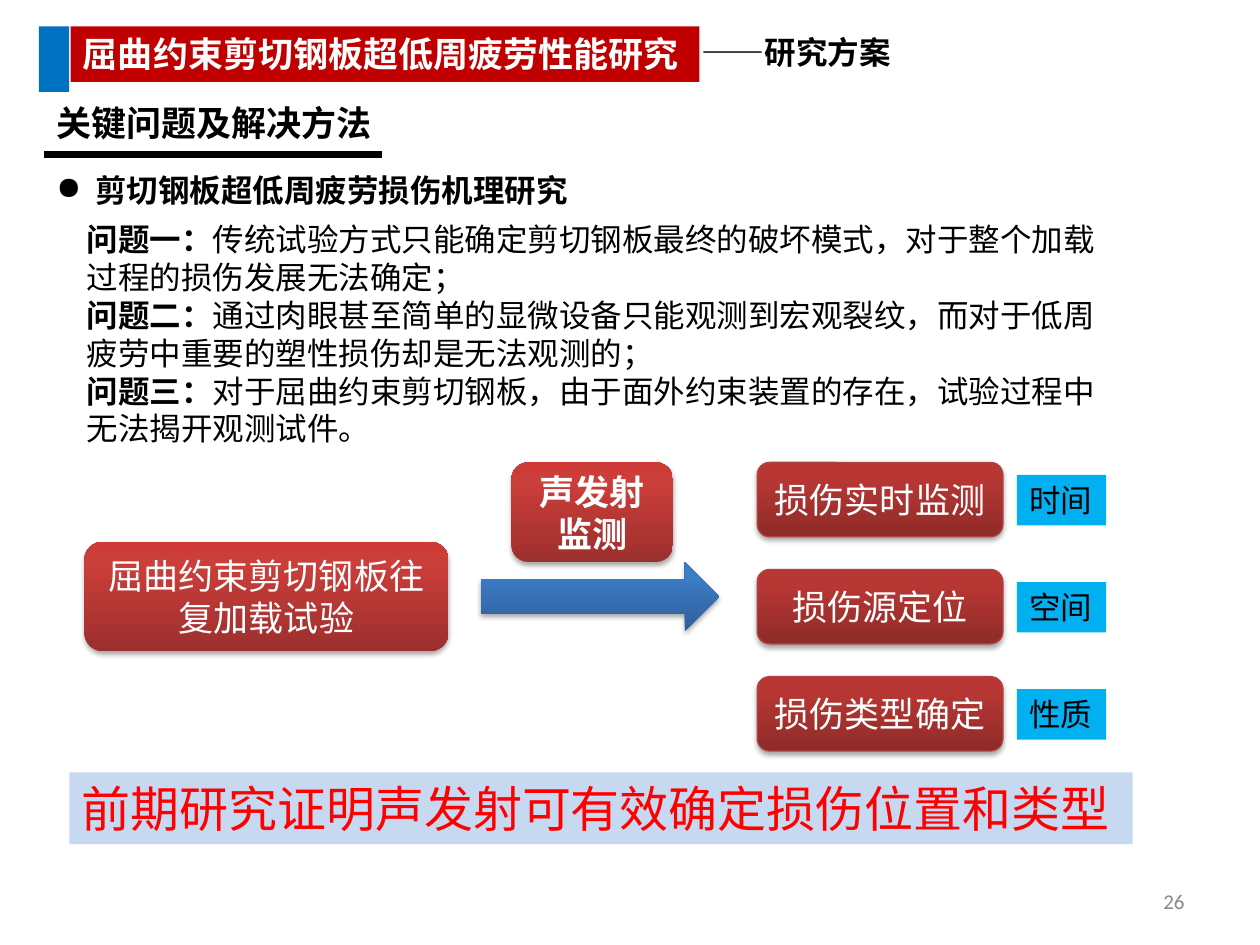
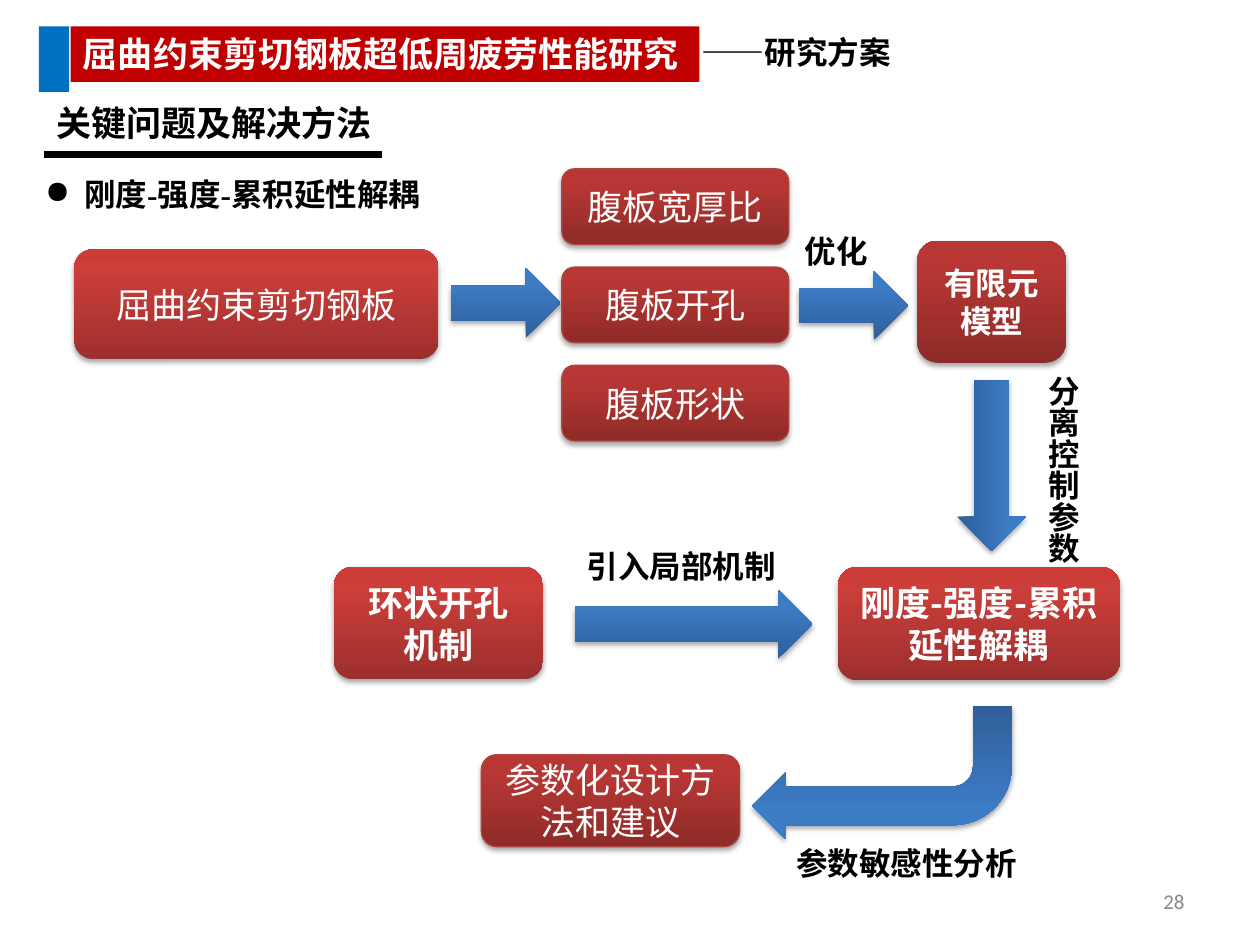
from dataclasses import dataclass

from pptx import Presentation
from pptx import util as u
from pptx.dml.color import RGBColor
from pptx.enum import shapes as kinds, text as txt
from pptx.oxml import parse_xml
from pptx.oxml.ns import nsdecls, qn


@dataclass(frozen=True)
class Theme:
    white: str = "FFFFFF"
    black: str = "000000"
    title_band: str = "C00000"
    title_tab: str = "0070C0"
    page_grey: str = "898989"
    tag: str = "00B0F0"
    conclusion_band: str = "C6D9F1"
    conclusion_text: str = "FF0000"
    box_edge: str = "AD4441"
    bright_red: tuple = ("9C2F2D", "CB3E3A", "CE3B37")
    deep_red: tuple = ("8E2B28", "B83734", "BB3531")
    arrow_blue: tuple = ("2F5F99", "3D7CC7", "3A7CCB")
    cjk: str = "Noto Sans CJK SC"
    serif: str = "Times New Roman"
    sans: str = "Arial"
    digits: str = "Calibri"
    large: int = 28
    heading: int = 20
    body: int = 18
    small: int = 12


T = Theme()
ALIGN = txt.PP_ALIGN
SHAPE = kinds.MSO_SHAPE


def inches(*lengths):
    return [u.Inches(length) for length in lengths]


def write(shape, content, size=T.body, font=T.cjk, color=T.black, bold=False,
          align=ALIGN.LEFT, anchor=txt.MSO_ANCHOR.TOP, wrap=True, bullet=None,
          vertical=False):
    """Fill a shape with a string, or with paragraphs of (text, bold) runs."""
    frame = shape.text_frame
    frame.word_wrap = wrap
    frame.vertical_anchor = anchor
    if vertical:
        frame._txBody.bodyPr.set("vert", "eaVert")
    paragraphs = [[(content, bold)]] if isinstance(content, str) else content
    for index, runs in enumerate(paragraphs):
        paragraph = frame.add_paragraph() if index else frame.paragraphs[0]
        paragraph.alignment = align
        if bullet:
            props = paragraph._p.get_or_add_pPr()
            props.set("marL", str(u.Inches(0.31)))
            props.set("indent", str(-u.Inches(0.31)))
            props.append(parse_xml(f'<a:buChar {nsdecls("a")} char="{bullet}"/>'))
        for words, is_bold in runs:
            run = paragraph.add_run()
            run.text = words
            run.font.size = u.Pt(size)
            run.font.bold = is_bold
            run.font.color.rgb = RGBColor.from_string(color)
            run.font.name = font
            run_props = run._r.get_or_add_rPr()
            run_props.set("lang", "zh-CN")
            run_props.find(qn("a:latin")).addnext(
                parse_xml(f'<a:ea {nsdecls("a")} typeface="{T.cjk}"/>'))


def label(slide, box, content, **fmt):
    write(slide.shapes.add_textbox(*inches(*box)), content, **fmt)


def panel(slide, box, fill, content=None, **fmt):
    shape = slide.shapes.add_shape(SHAPE.RECTANGLE, *inches(*box))
    shape.shadow.inherit = False
    shape.fill.solid()
    shape.fill.fore_color.rgb = RGBColor.from_string(fill)
    shape.line.fill.background()
    if content:
        write(shape, content, **fmt)


def glossy(slide, kind, box, colors, edge=False):
    """Add a shape with an upward gradient and a soft shadow below it."""
    shape = slide.shapes.add_shape(kind, *inches(*box))
    shape.fill.solid()
    solid = shape._element.spPr.find(qn("a:solidFill"))
    stops = "".join(f'<a:gs pos="{pos}000"><a:srgbClr val="{color}"/></a:gs>'
                    for pos, color in zip((0, 80, 100), colors))
    solid.getparent().replace(solid, parse_xml(
        f'<a:gradFill {nsdecls("a")} rotWithShape="1"><a:gsLst>{stops}</a:gsLst>'
        '<a:lin ang="16200000" scaled="0"/></a:gradFill>'))
    if edge:
        shape.line.color.rgb = RGBColor.from_string(T.box_edge)
        shape.line.width = u.Pt(0.75)
    else:
        shape.line.fill.background()
    shape.shadow.inherit = False
    shape._element.spPr.find(qn("a:effectLst")).append(parse_xml(
        f'<a:outerShdw {nsdecls("a")} blurRad="{u.Pt(3.1)}" dist="{u.Pt(1.8)}" '
        'dir="5400000" rotWithShape="0"><a:srgbClr val="000000">'
        '<a:alpha val="35000"/></a:srgbClr></a:outerShdw>'))
    return shape


def step(slide, box, words, colors=T.bright_red, edge=False, bold=False,
         size=T.heading):
    shape = glossy(slide, SHAPE.ROUNDED_RECTANGLE, box, colors, edge)
    write(shape, words, size=size, color=T.white, bold=bold,
          align=ALIGN.CENTER, anchor=txt.MSO_ANCHOR.MIDDLE)


def arrow(slide, box, turn=0):
    glossy(slide, SHAPE.RIGHT_ARROW, box, T.arrow_blue).rotation = turn


def header(slide, x, y):
    panel(slide, (x + 0.25, y, 4.99, 0.44), T.title_band,
          "屈曲约束剪切钢板超低周疲劳性能研究", size=T.heading,
          color=T.white, bold=True)
    panel(slide, (x, y, 0.24, 0.52), T.title_tab)
    label(slide, (x + 5.16, y, 1.76, 0.4), "——研究方案", bold=True, wrap=False)


def section_heading(slide, x, y):
    label(slide, (x, y, 3.86, 0.44), "关键问题及解决方法", size=T.heading,
          font=T.sans, bold=True)
    rule = slide.shapes.add_connector(
        kinds.MSO_CONNECTOR.STRAIGHT, *inches(x, y + 0.47, x + 2.68, y + 0.47))
    rule.line.color.rgb = RGBColor.from_string(T.black)
    rule.line.width = u.Pt(4)
    rule._element.spPr.append(parse_xml(f'<a:effectLst {nsdecls("a")}/>'))


def new_slide(deck, page):
    slide = deck.slides.add_slide(deck.slide_layouts[6])
    slide.background.fill.solid()
    slide.background.fill.fore_color.rgb = RGBColor.from_string(T.white)
    header(slide, 0.31, 0.21)
    label(slide, (7.17, 6.95, 2.33, 0.4), page, size=T.small, font=T.digits,
          color=T.page_grey, align=ALIGN.RIGHT, anchor=txt.MSO_ANCHOR.MIDDLE)
    section_heading(slide, 0.35, 0.76)
    return slide


def topic(slide, box, words):
    label(slide, box, words, font=T.serif, bold=True, align=ALIGN.JUSTIFY,
          bullet="●")


def problems(slide, box):
    questions = [
        ("问题一：", "传统试验方式只能确定剪切钢板最终的破坏模式，对于整个加载过程的损伤发展无法确定；"),
        ("问题二：", "通过肉眼甚至简单的显微设备只能观测到宏观裂纹，而对于低周疲劳中重要的塑性损伤却是无法观测的；"),
        ("问题三：", "对于屈曲约束剪切钢板，由于面外约束装置的存在，试验过程中无法揭开观测试件。"),
    ]
    label(slide, box, [[(name, True), (detail, False)]
                       for name, detail in questions], font=T.serif)


def monitoring_flow(slide, x, y):
    step(slide, (x, y + 0.63, 2.89, 0.87), "屈曲约束剪切钢板往复加载试验")
    step(slide, (x + 3.39, y, 1.28, 0.79), "声发射监测", bold=True)
    arrow(slide, (x + 3.15, y + 0.79, 1.89, 0.55))
    outcomes = [("损伤实时监测", "时间"), ("损伤源定位", "空间"),
                ("损伤类型确定", "性质")]
    for row, (outcome, aspect) in enumerate(outcomes):
        top = y + 0.85 * row
        step(slide, (x + 5.34, top, 1.95, 0.59), outcome, T.deep_red, edge=True)
        panel(slide, (x + 7.4, top + 0.1, 0.71, 0.4), T.tag, aspect,
              font=T.sans, wrap=False)


def optimisation_row(slide, x, y):
    step(slide, (x, y + 0.64, 2.89, 0.87), "屈曲约束剪切钢板")
    arrow(slide, (x + 2.99, y + 0.79, 0.87, 0.55))
    for row, factor in enumerate(("腹板宽厚比", "腹板开孔", "腹板形状")):
        step(slide, (x + 3.87, y + 0.78 * row, 1.8, 0.6), factor,
             T.deep_red, edge=True)
    arrow(slide, (x + 5.75, y + 0.81, 0.87, 0.55))
    label(slide, (x + 5.7, y + 0.45, 0.71, 0.4), "优化", font=T.sans,
          bold=True, wrap=False)
    step(slide, (x + 6.69, y + 0.57, 1.18, 0.97), "有限元模型", T.deep_red,
         bold=True, size=T.body)


def decoupling_row(slide, x, y):
    arrow(slide, (x + 4.54, y - 1.08, 1.36, 0.55), turn=90)
    label(slide, (x + 5.49, y - 1.62, 0.5, 1.59), "分离控制参数", bold=True,
          wrap=False, vertical=True)
    step(slide, (x, y, 1.66, 0.89), "环状开孔机制", bold=True)
    arrow(slide, (x + 1.91, y + 0.18, 1.89, 0.55))
    label(slide, (x + 1.91, y - 0.21, 1.72, 0.4), "引入局部机制",
          font=T.sans, bold=True, wrap=False)
    step(slide, (x + 4, y, 2.24, 0.9), "刚度-强度-累积延性解耦", bold=True)


def design_advice(slide, x, y):
    step(slide, (x, y + 0.39, 2.05, 0.73), "参数化设计方法和建议", T.deep_red,
         edge=True)
    bend = glossy(slide, SHAPE.BENT_ARROW, (x + 2.15, y, 2.06, 1.06),
                  T.arrow_blue)
    bend.rotation = 180
    for index, value in enumerate((0.29, 0.25, 0.25, 0.44)):
        bend.adjustments[index] = value
    label(slide, (x + 2.4, y + 1.05, 1.97, 0.4), "参数敏感性分析",
          font=T.sans, bold=True, wrap=False)


def damage_slide(deck):
    slide = new_slide(deck, "26")
    topic(slide, (0.35, 1.31, 4.33, 0.4), "剪切钢板超低周疲劳损伤机理研究")
    problems(slide, (0.59, 1.7, 8.36, 1.92))
    monitoring_flow(slide, 0.67, 3.67)
    panel(slide, (0.55, 6.13, 8.44, 0.57), T.conclusion_band,
          "前期研究证明声发射可有效确定损伤位置和类型", size=T.large,
          color=T.conclusion_text)


def decoupling_slide(deck):
    slide = new_slide(deck, "28")
    topic(slide, (0.26, 1.34, 3.23, 0.4), "刚度-强度-累积延性解耦")
    optimisation_row(slide, 0.59, 1.34)
    decoupling_row(slide, 2.65, 4.5)
    design_advice(slide, 3.82, 5.6)


def main():
    deck = Presentation()
    deck.slide_width, deck.slide_height = inches(10, 7.5)
    damage_slide(deck)
    decoupling_slide(deck)
    deck.save("out.pptx")


if __name__ == "__main__":
    main()
